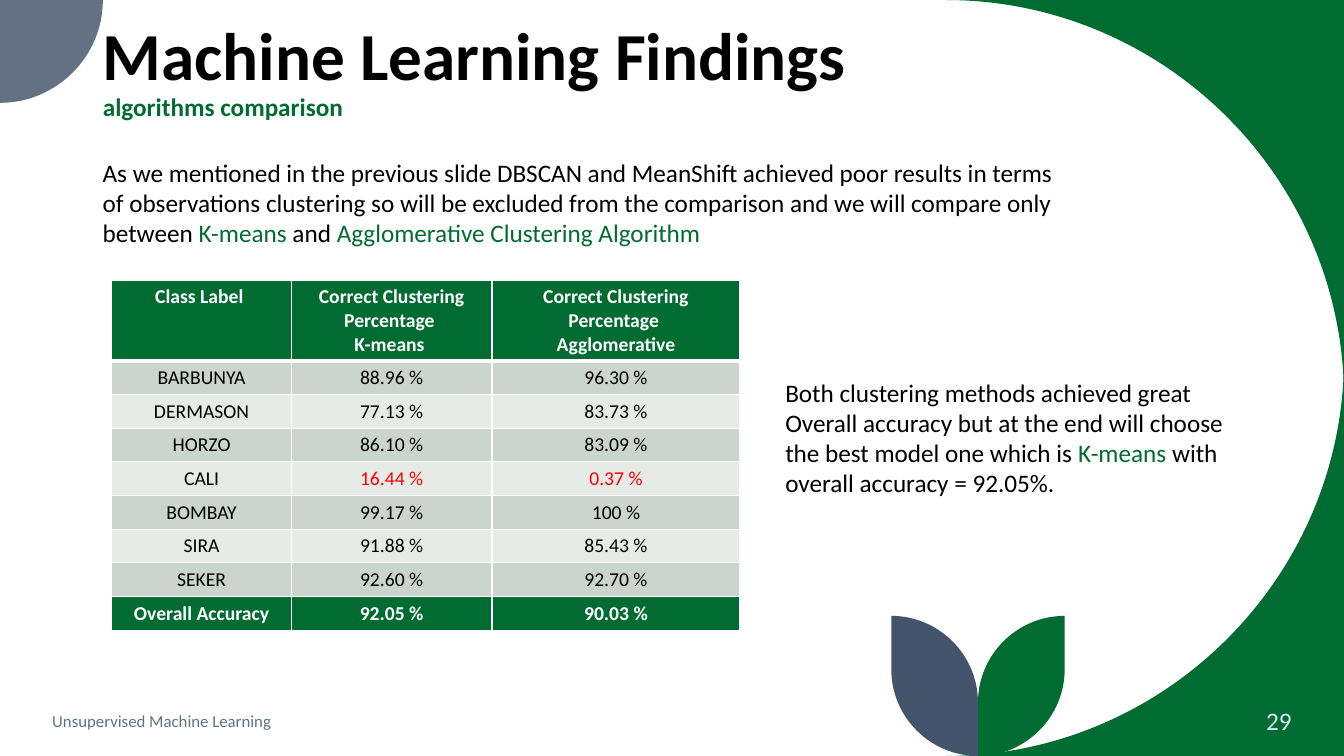
"""Build the slide that compares the clustering accuracy of two algorithms."""
from dataclasses import dataclass

from lxml import etree
from pptx import Presentation
from pptx.dml.color import RGBColor
from pptx.enum import text as kinds
from pptx.oxml import ns
from pptx.util import Inches, Pt


@dataclass(frozen=True)
class Theme:
    font: str = "Calibri"
    green: str = "006C31"
    slate: str = "637183"
    navy: str = "44546A"
    black: str = "000000"
    white: str = "FFFFFF"
    red: str = "FF0000"
    pale: str = "DAE5EF"
    bands: tuple = ("CCD4CE", "E7EBE8")
    title: int = 48
    body: int = 18
    cell: int = 14
    footer: int = 12


THEME = Theme()
WIDTH, HEIGHT = 13.33, 7.5
TITLE = ("Machine Learning Findings", "algorithms comparison")
INTRO = [[
    ("As we mentioned in the previous slide DBSCAN and MeanShift achieved poor results in terms "
     "of observations clustering so will be excluded from the comparison and we will compare only "
     "between ", THEME.black),
    ("K-means", THEME.green),
    (" and ", THEME.black),
    ("Agglomerative Clustering Algorithm", THEME.green),
]]
VERDICT = [
    [("Both clustering methods achieved great", THEME.black)],
    [("Overall accuracy but at the end will choose the best model one which is ", THEME.black),
     ("K-means ", THEME.green),
     ("with overall accuracy = 92.05%.", THEME.black)],
]
FOOTER = [[("Unsupervised Machine Learning", THEME.slate)]]
NUMBER = [[("29", THEME.pale)]]
ACCURACY = [
    ("Class Label ", "Correct Clustering\nPercentage \nK-means ",
     "Correct Clustering\nPercentage \nAgglomerative"),
    ("BARBUNYA", "88.96 %", "96.30 %"),
    ("DERMASON", "77.13 %", "83.73 %"),
    ("HORZO", "86.10 %", "83.09 %"),
    ("CALI", "16.44 %", "0.37 %"),
    ("BOMBAY", "99.17 %", "100 %"),
    ("SIRA", "91.88 %", "85.43 %"),
    ("SEKER", "92.60 %", "92.70 %"),
    ("Overall Accuracy", "92.05 %", "90.03 %"),
]
POOR = {"16.44 %", "0.37 %"}
COLUMNS = (1.78, 1.99, 2.46)
HEADER_ROW, DATA_ROW = 0.74, 0.31
CURVE, CORNER, LEAF = 3.95, 1.02, 0.86
STEM, LEAF_TOP = 9.7, 6.11
ROUNDNESS = 0.55


def style(font, size, colour, bold=False):
    font.name, font.size, font.bold = THEME.font, Pt(size), bold
    font.color.rgb = RGBColor.from_string(colour)


def toward(point, corner):
    return tuple(a + (b - a) * ROUNDNESS for a, b in zip(point, corner))


def draw_outline(page, start, steps, colour):
    """Draw steps that are (end,) for a line and (corner, end) for a quarter curve."""
    points, here = [], start
    for *corner, end in steps:
        points += [toward(side, corner[0]) for side in (here, end) if corner] + [end]
        here = end
    builder = page.shapes.build_freeform(*map(Inches, start))
    builder.add_line_segments([tuple(map(Inches, point)) for point in points], close=True)
    shape = builder.convert_to_shape()
    lines = iter(list(shape._element.iter(ns.qn("a:lnTo"))))
    for step in steps:
        line = next(lines)
        if len(step) == 2:
            bend = etree.Element(ns.qn("a:cubicBezTo"))
            line.addprevious(bend)
            for part in (line, next(lines), next(lines)):
                bend.append(part[0])
                part.getparent().remove(part)
    shape.shadow.inherit = False
    shape.fill.solid()
    shape.fill.fore_color.rgb = RGBColor.from_string(colour)
    shape.line.fill.background()


def draw_decoration(page):
    left = WIDTH - CURVE
    for edge, reach in ((0, CURVE), (HEIGHT, HEIGHT - CURVE)):
        corner = (WIDTH, edge)
        draw_outline(page, corner, [((left, edge),), (corner, (WIDTH, reach))], THEME.green)
    draw_outline(page, (0, 0), [((CORNER, 0),), ((CORNER, CORNER), (0, CORNER))], THEME.slate)
    for tip, colour in ((STEM + LEAF, THEME.green), (STEM - LEAF, THEME.navy)):
        start = (tip, LEAF_TOP)
        draw_outline(page, start, [
            ((tip, HEIGHT - LEAF),), ((tip, HEIGHT), (STEM, HEIGHT)),
            ((STEM, LEAF_TOP + LEAF),), ((STEM, LEAF_TOP), start)], colour)


def place_title(page):
    box = page.shapes.title
    box.left, box.top, box.width, box.height = map(Inches, (0.92, 0.44, 10.69, 0.82))
    frame = box.text_frame
    frame.text = "\v".join(TITLE)
    frame.auto_size = kinds.MSO_AUTO_SIZE.NONE
    frame.vertical_anchor = kinds.MSO_ANCHOR.BOTTOM
    para = frame.paragraphs[0]
    para.alignment, para.line_spacing = kinds.PP_ALIGN.LEFT, 0.9
    heading, subtitle = para.runs
    style(heading.font, THEME.title, THEME.black, True)
    style(subtitle.font, THEME.body, THEME.green, True)


def add_text(page, place, paragraphs, size, anchor=kinds.MSO_ANCHOR.TOP,
             alignment=kinds.PP_ALIGN.LEFT):
    frame = page.shapes.add_textbox(*map(Inches, place)).text_frame
    frame.word_wrap, frame.vertical_anchor = True, anchor
    for index, spans in enumerate(paragraphs):
        para = frame.add_paragraph() if index else frame.paragraphs[0]
        para.alignment = alignment
        for words, colour in spans:
            span = para.add_run()
            span.text = words
            style(span.font, size, colour)


def add_borders(cell, widths):
    for side, width in widths.items():
        line = etree.SubElement(cell._tc.get_or_add_tcPr(), ns.qn(f"a:ln{side}"), w=str(Pt(width)))
        fill = etree.SubElement(line, ns.qn("a:solidFill"))
        etree.SubElement(fill, ns.qn("a:srgbClr"), val=THEME.white)


def add_accuracy_table(page):
    last = len(ACCURACY) - 1
    place = (1.11, 2.78, sum(COLUMNS), HEADER_ROW + last * DATA_ROW)
    table = page.shapes.add_table(last + 1, len(COLUMNS), *map(Inches, place)).table
    table.first_row = table.horz_banding = False
    for column, width in zip(table.columns, COLUMNS):
        column.width = Inches(width)
    for index, values in enumerate(ACCURACY):
        table.rows[index].height = Inches(DATA_ROW if index else HEADER_ROW)
        strong = index in (0, last)
        fill = THEME.green if strong else THEME.bands[(index - 1) % 2]
        ink = THEME.white if strong else THEME.black
        widths = {"L": 1, "R": 1, "T": 3 if index == 1 else 1, "B": 1 if index else 3}
        for cell, value in zip(table.rows[index].cells, values):
            add_borders(cell, widths)
            cell.fill.solid()
            cell.fill.fore_color.rgb = RGBColor.from_string(fill)
            cell.text_frame.text = value
            for para in cell.text_frame.paragraphs:
                para.alignment = kinds.PP_ALIGN.CENTER
                style(para.runs[0].font, THEME.cell, THEME.red if value in POOR else ink, strong)


def main():
    deck = Presentation()
    deck.slide_width, deck.slide_height = Inches(WIDTH), Inches(HEIGHT)
    page = deck.slides.add_slide(deck.slide_layouts.get_by_name("Title Only"))
    draw_decoration(page)
    place_title(page)
    middle = kinds.MSO_ANCHOR.MIDDLE
    add_text(page, (0.42, 6.95, 3.36, 0.4), FOOTER, THEME.footer, middle)
    add_text(page, (11.1, 6.95, 1.81, 0.4), NUMBER, THEME.body, middle, kinds.PP_ALIGN.RIGHT)
    add_text(page, (0.92, 1.51, 9.7, 1.01), INTRO, THEME.body)
    add_accuracy_table(page)
    add_text(page, (7.69, 3.69, 4.93, 1.31), VERDICT, THEME.body)
    deck.save("out.pptx")


if __name__ == "__main__":
    main()
